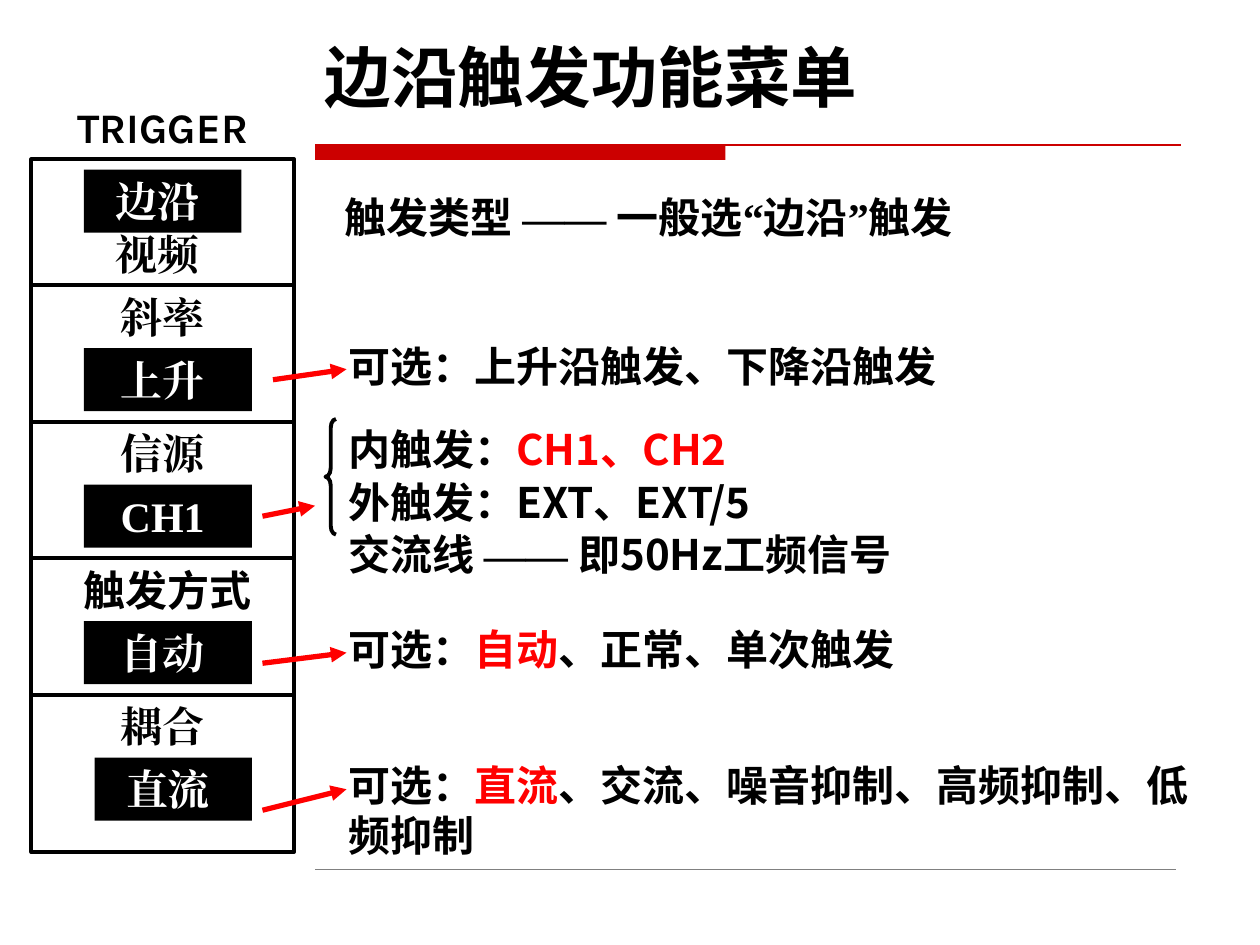
from lxml import etree
from pptx import Presentation
from pptx.dml.color import RGBColor
from pptx.enum.shapes import MSO_CONNECTOR, MSO_SHAPE
from pptx.enum.text import MSO_ANCHOR, PP_ALIGN
from pptx.oxml.ns import qn
from pptx.util import Pt

RECT, BRACE = MSO_SHAPE.RECTANGLE, MSO_SHAPE.LEFT_BRACE
STRAIGHT = MSO_CONNECTOR.STRAIGHT
TOP, BOTTOM = MSO_ANCHOR.TOP, MSO_ANCHOR.BOTTOM
LEFT, CENTER = PP_ALIGN.LEFT, PP_ALIGN.CENTER
SANS, SERIF, KARLA = "Noto Sans CJK SC", "Times New Roman", "Karla"
BLACK, WHITE, RED, DARK_RED, GREY = "000000", "FFFFFF", "FF0000", "CC0000", "808080"
colour = RGBColor.from_string

prs = Presentation()
prs.slide_width, prs.slide_height = Pt(720), Pt(540)
slide = prs.slides.add_slide(prs.slide_layouts[6])
shapes = slide.shapes


def add_text(text, x, y, w, h=36, size=24, font=SANS, color=BLACK,
             align=LEFT, anchor=TOP, fill=None):
    """Text is a string, or a list of (text, font, colour) runs."""
    box = (Pt(x), Pt(y), Pt(w), Pt(h))
    if fill:
        shape = shapes.add_shape(RECT, *box)
        shape.shadow.inherit = False
        shape.fill.solid()
        shape.fill.fore_color.rgb = colour(fill)
        shape.line.fill.background()
    else:
        shape = shapes.add_textbox(*box)
    frame = shape.text_frame
    frame.word_wrap = True
    frame.vertical_anchor = anchor
    paragraph = frame.paragraphs[0]
    paragraph.alignment = align
    runs = [(text, font, color)] if isinstance(text, str) else text
    for run_text, run_font, run_color in runs:
        run = paragraph.add_run()
        run.text = run_text
        run.font.size, run.font.bold, run.font.name = Pt(size), True, run_font
        run.font.color.rgb = colour(run_color)
        east_asian = etree.SubElement(run.font._element, qn("a:ea"))
        east_asian.set("typeface", run_font)


def add_line(x1, y1, x2, y2, color, width, arrow=False):
    line = shapes.add_connector(STRAIGHT, Pt(x1), Pt(y1), Pt(x2), Pt(y2))
    line.line.color.rgb = colour(color)
    line.line.width = Pt(width)
    if arrow:
        tail = etree.SubElement(line.line._get_or_add_ln(), qn("a:tailEnd"))
        tail.set("type", "triangle")
    etree.SubElement(line._element.spPr, qn("a:effectLst"))


# Title rule and footer rule
rule = shapes.add_shape(RECT, Pt(48), Pt(82.8), Pt(366.5), Pt(8.6))
rule.shadow.inherit = False
rule.fill.solid()
rule.fill.fore_color.rgb = colour(DARK_RED)
rule.line.fill.background()
add_line(48, 82.8, 674.6, 82.8, DARK_RED, 0.75)
add_line(48, 496.8, 672, 496.8, GREY, 0.25)

# Title
add_text("边沿触发功能菜单", 178.6, 9.4, 426, 60.5, size=38, anchor=BOTTOM)

# White panel behind the menu
panel = shapes.add_shape(RECT, Pt(6), Pt(49), Pt(174), Pt(450))
panel.shadow.inherit = False
panel.fill.solid()
panel.fill.fore_color.rgb = colour(WHITE)
panel.line.fill.background()

# Menu: heading and trigger type
add_text("TRIGGER", 12, 54.7, 162, font=KARLA, align=CENTER)
add_text("边沿 ", 48, 97, 90, font=SERIF, color=WHITE, align=CENTER, fill=BLACK)
add_text("视频 ", 36, 127, 114, font=SERIF, align=CENTER)

# Menu: one divider, label and selected value per row
MENU_LEFT, MENU_WIDTH, ROW_TOP, ROW_STEP = 18, 150, 163, 78
menu_rows = [  # label, label font, value, value left
    ("斜率 ", SERIF, "上升 ", 48),
    ("信源 ", SERIF, "CH1 ", 48),
    ("触发方式", KARLA, "自动 ", 48),
    ("耦合 ", SERIF, "直流 ", 54),
]
for i, (label, label_font, value, value_left) in enumerate(menu_rows):
    y = ROW_TOP + i * ROW_STEP
    add_text(label, MENU_LEFT, y, 156, font=label_font, align=CENTER)
    add_text(value, value_left, y + 36, 144 - value_left, font=SERIF,
             color=WHITE, align=CENTER, fill=BLACK)
    add_line(MENU_LEFT, y, MENU_LEFT + MENU_WIDTH, y, BLACK, 2.25)

# Menu frame
frame_box = shapes.add_shape(RECT, Pt(MENU_LEFT), Pt(91), Pt(MENU_WIDTH), Pt(396))
frame_box.shadow.inherit = False
frame_box.fill.background()
frame_box.line.color.rgb = colour(BLACK)
frame_box.line.width = Pt(2.25)

# Explanations
add_text([("触发类型 ", SANS, BLACK), ("—— ", SERIF, BLACK),
          ("一般选", SANS, BLACK), ("“", SERIF, BLACK), ("边沿", SANS, BLACK),
          ("”", SERIF, BLACK), ("触发", SANS, BLACK)], 190, 106, 432)
explanations = [  # top, width, height, runs
    (191, 432, 36, "可选：上升沿触发、下降沿触发"),
    (238.5, 432, 36, [("内触发：", SANS, BLACK), ("CH1、CH2", SANS, RED)]),
    (268.5, 432, 36, "外触发：EXT、EXT/5"),
    (298.5, 432, 36, [("交流线 ", SANS, BLACK), ("—— ", SERIF, BLACK),
                      ("即50Hz工频信号", SANS, BLACK)]),
    (353, 432, 36, [("可选：", SANS, BLACK), ("自动", SANS, RED),
                    ("、正常、单次触发", SANS, BLACK)]),
    (430.5, 504, 65, [("可选：", SANS, BLACK), ("直流", SANS, RED),
                      ("、交流、噪音抑制、高频抑制、低频抑制", SANS, BLACK)]),
]
for top, width, height, runs in explanations:
    add_text(runs, 192, top, width, height)

# Brace around the sources
brace = shapes.add_shape(BRACE, Pt(186), Pt(239.5), Pt(6), Pt(66))
brace.shadow.inherit = False
brace.adjustments[0] = 0.83
brace.fill.background()
brace.line.color.rgb = colour(BLACK)
brace.line.width = Pt(2.25)

# Arrows from the values to their explanations
for x1, y1, x2, y2 in [(156, 217, 198, 211), (150, 295, 180, 289),
                       (150, 379, 198, 373), (150, 463, 198, 451)]:
    add_line(x1, y1, x2, y2, RED, 3, arrow=True)

prs.save("out.pptx")
